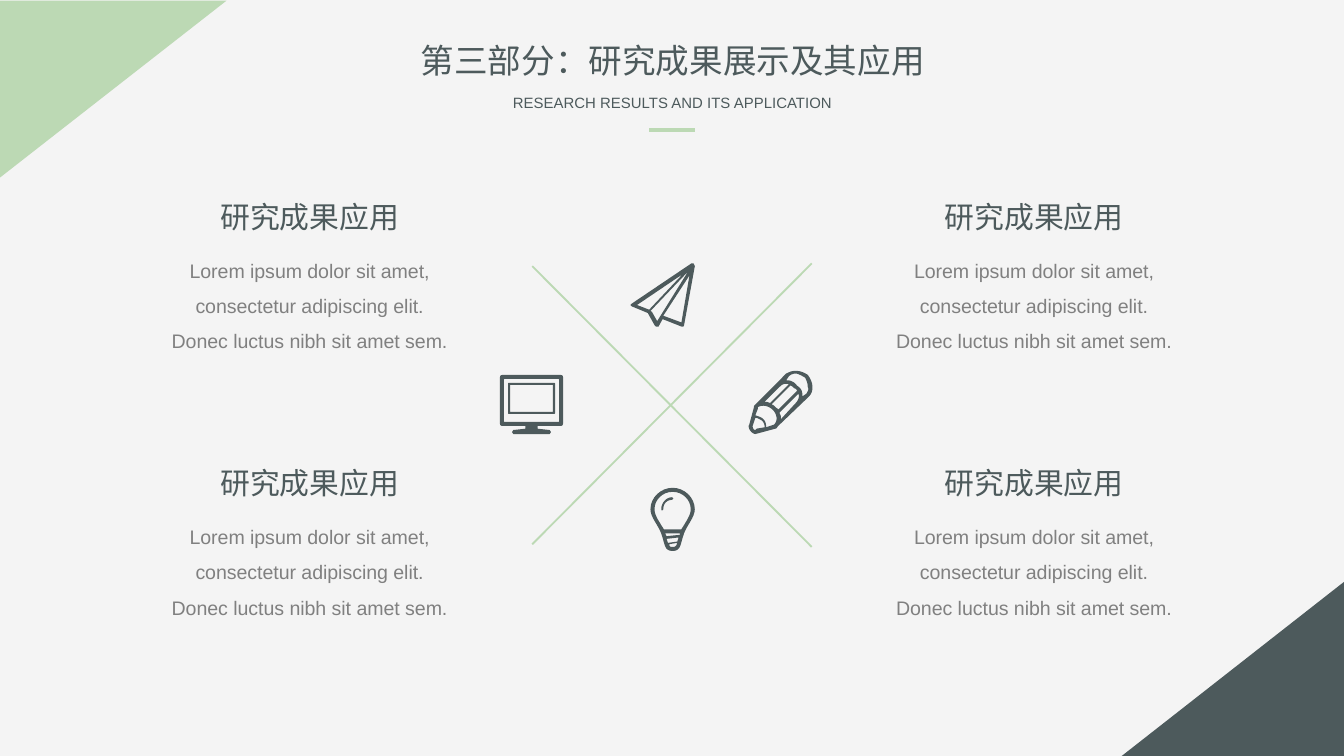
from itertools import product

from lxml.etree import SubElement
from pptx import Presentation
from pptx.dml.color import RGBColor
from pptx.enum.shapes import MSO_CONNECTOR, MSO_SHAPE
from pptx.enum.text import MSO_AUTO_SIZE, PP_ALIGN
from pptx.oxml.ns import qn
from pptx.util import Inches, Pt

COLORS = {"paper": "F4F4F4", "green": "BCD9B4", "slate": "4D5A5C", "gray": "808080"}
LATIN, CHINESE = "Arial", "Noto Sans CJK SC"
CELL = Inches(0.1)  # the slide is a grid of 100 columns by 56.25 rows
ICON_UNIT = Inches(0.01)

# Icon contours: two numbers are a line to a point, six are a Bezier curve
PLANE = [
    [(516, 196), (514.5, 196), (470, 226), (469, 227), (470, 228), (482, 233), (487, 242),
     (488, 243), (490, 243), (493, 237.5), (507, 243), (508.5, 243), (509, 242), (517, 198)],
    [(507, 240), (493.5, 235), (513, 205)],
    [(485, 232), (484, 231.5), (512, 202), (489, 239)],
    [(474, 227), (508, 204), (483, 230.5)],
]
PENCIL = [
    [(601, 279), (598, 277, 595, 276, 592, 276), (589, 276, 587, 277, 585, 278), (562, 301),
     (561, 302, 561, 302, 561, 303), (557.5, 316), (557, 317), (557, 320, 560, 323, 562, 323),
     (564, 322.5), (577, 319), (578, 319, 578, 318, 579, 317), (602, 295),
     (606, 291, 605, 284, 601, 279)],
    [(600, 293), (597, 295), (597, 294), (597, 291, 596, 289, 593, 287),
     (591, 284, 588, 283, 585, 283), (587, 280), (588, 279, 590, 278, 592, 278),
     (594, 278, 597, 280, 599, 281), (600, 283, 601, 285, 601, 288),
     (602, 290, 601, 291, 600, 293)],
    [(570, 318), (570, 316, 570, 314, 568, 312), (566, 310, 564, 310, 562, 309), (564, 304),
     (564, 303), (567, 301, 572, 302, 575, 305), (578, 308, 579, 313, 576, 316)],
    [(563, 319), (562, 320), (561, 320, 560, 319, 560, 317), (562, 311),
     (564, 311, 565, 312, 567, 313), (568, 314, 569, 316, 569, 318)],
    [(573, 300), (571, 299, 570, 299, 569, 299), (580, 288), (582, 286, 584, 285, 587, 286)],
    [(579, 305), (579, 304, 578, 304, 577, 303), (576, 302, 575, 301, 574, 301), (588, 287),
     (589, 287, 590, 288, 591, 289), (592, 289, 593, 290, 593, 291)],
    [(581, 310), (581, 309, 580, 308, 580, 307), (594, 293), (595, 295, 594, 298, 592, 300),
     (581, 312)],
]
BULB = [
    [(500.5, 363), (492, 363, 484, 370, 484, 379), (484, 385, 490, 391, 492, 397),
     (495, 405, 494, 410, 500.5, 410), (507, 410, 506, 405, 509, 397),
     (511, 391, 517, 385, 517, 379), (517, 370, 509, 363, 500.5, 363)],
    [(507, 394), (494, 394), (493, 392, 492, 391, 491, 389), (489, 386, 487, 382, 487, 379),
     (487, 372, 493, 366, 500.5, 366), (508, 366, 514, 372, 514, 379),
     (514, 382, 512, 386, 510, 389), (509, 391, 508, 392, 507, 394)],
    [(500.5, 407), (499, 407, 498, 407, 498, 405), (504, 404), (503, 407, 502, 407, 500.5, 407)],
    [(496, 399), (495, 397), (506, 397), (506, 398)],
    [(504, 403), (497, 404), (496, 401), (505, 400)],
]
BULB_GLINT = [
    [(500, 370), (496, 370, 492, 374, 492, 379), (492.5, 380), (493.5, 379),
     (493.5, 375, 496, 372, 500, 372), (501, 371)],
]


def rounded(left, top, right, bottom, radius):
    return [(left + radius, top), (right - radius, top),
            (right, top, right, top, right, top + radius), (right, bottom - radius),
            (right, bottom, right, bottom, right - radius, bottom), (left + radius, bottom),
            (left, bottom, left, bottom, left, bottom - radius), (left, top + radius),
            (left, top, left, top, left + radius, top)]


SCREEN = [rounded(378, 285, 413, 308, 1), rounded(379.5, 286.5, 411.5, 306.5, 0.5)]
MONITOR = [
    rounded(372, 279, 419, 317, 4), rounded(375, 282, 416, 314, 1),
    [(391, 317), (391, 319), (382, 320), (381, 321.5), (382, 323),
     (409, 323), (410, 321.5), (409, 320), (400, 319), (400, 317)],
]


def flatten(contour, steps=8):
    """Turn lines and cubic curves into a list of points."""
    points = [contour[0]]
    for segment in contour[1:]:
        if len(segment) == 2:
            points.append(segment)
            continue
        start = points[-1]
        for t in (step / steps for step in range(1, steps + 1)):
            s = 1 - t
            points.append(tuple(
                s**3 * start[axis] + 3 * s * s * t * segment[axis]
                + 3 * s * t * t * segment[axis + 2] + t**3 * segment[axis + 4]
                for axis in (0, 1)))
    return [(x * ICON_UNIT, y * ICON_UNIT) for x, y in points]


def cells(*values):
    return [round(value * CELL) for value in values]


class SlideBuilder:
    def __init__(self, slide):
        self.slide = slide
        slide.background.fill.solid()
        slide.background.fill.fore_color.rgb = self.color("paper")

    def color(self, name):
        return RGBColor.from_string(COLORS[name])

    def paint(self, shape, color):
        shape.shadow.inherit = False
        shape.fill.solid()
        shape.fill.fore_color.rgb = self.color(color)
        shape.line.fill.background()

    def corner(self, box, rotation, color):
        shape = self.slide.shapes.add_shape(MSO_SHAPE.RIGHT_TRIANGLE, *cells(*box))
        shape.rotation = rotation
        self.paint(shape, color)

    def line(self, start, end, width):
        line = self.slide.shapes.add_connector(MSO_CONNECTOR.STRAIGHT, *cells(*start, *end))
        line.line.color.rgb = self.color("green")
        line.line.width = Pt(width)
        SubElement(line._element.spPr, qn("a:effectLst"))

    def text(self, box, text, size, font=LATIN, color="slate", wrap=False, spacing=None):
        text_frame = self.slide.shapes.add_textbox(*cells(*box)).text_frame
        text_frame.word_wrap = wrap
        text_frame.auto_size = MSO_AUTO_SIZE.SHAPE_TO_FIT_TEXT
        text_frame.text = text
        paragraph = text_frame.paragraphs[0]
        paragraph.alignment = PP_ALIGN.CENTER
        if spacing:
            paragraph.line_spacing = spacing
        run = paragraph.runs[0]
        run.font.size = Pt(size)
        run.font.name = font
        run.font.color.rgb = self.color(color)
        SubElement(run._r.get_or_add_rPr(), qn("a:ea")).set("typeface", font)

    def icon(self, contours):
        outlines = [flatten(contour) for contour in contours]
        builder = self.slide.shapes.build_freeform(*outlines[0][0], scale=1.0)
        for index, points in enumerate(outlines):
            if index:
                builder.move_to(*points[0])
            builder.add_line_segments(points[1:], close=True)
        self.paint(builder.convert_to_shape(), "slate")


def main():
    presentation = Presentation()
    presentation.slide_width, presentation.slide_height = cells(100, 56.25)
    builder = SlideBuilder(presentation.slides.add_slide(presentation.slide_layouts[6]))

    # Corner triangles
    builder.corner((1.8, -1.8, 13.2, 16.9), 90, "green")
    builder.corner((85.2, 41.5, 13, 16.6), 270, "slate")

    # Title
    builder.text((30.1, 2.5, 39.9, 4), "第三部分：研究成果展示及其应用", 18, CHINESE)
    builder.text((36.9, 6.5, 26.3, 2.4), "RESEARCH RESULTS AND ITS APPLICATION", 8)
    builder.line((48.3, 9.7), (51.7, 9.7), 2.25)

    # Central cross
    builder.line((39.6, 19.8), (60.4, 40.7), 1)
    builder.line((39.6, 40.5), (60.4, 19.6), 1)

    # Four text blocks
    for left, top in product((11.3, 65.2), (14.3, 34.1)):
        builder.text((left, top + 3.6, 23.5, 9),
                     "Lorem ipsum dolor sit amet, consectetur adipiscing elit. "
                     "Donec luctus nibh sit amet sem.",
                     10.5, color="gray", wrap=True, spacing=1.5)
        builder.text((left + 4, top, 15.5, 3.7), "研究成果应用", 16, CHINESE)

    # Icons
    for contours in (PLANE, SCREEN, MONITOR, PENCIL, BULB, BULB_GLINT):
        builder.icon(contours)

    presentation.save("out.pptx")


if __name__ == "__main__":
    main()
